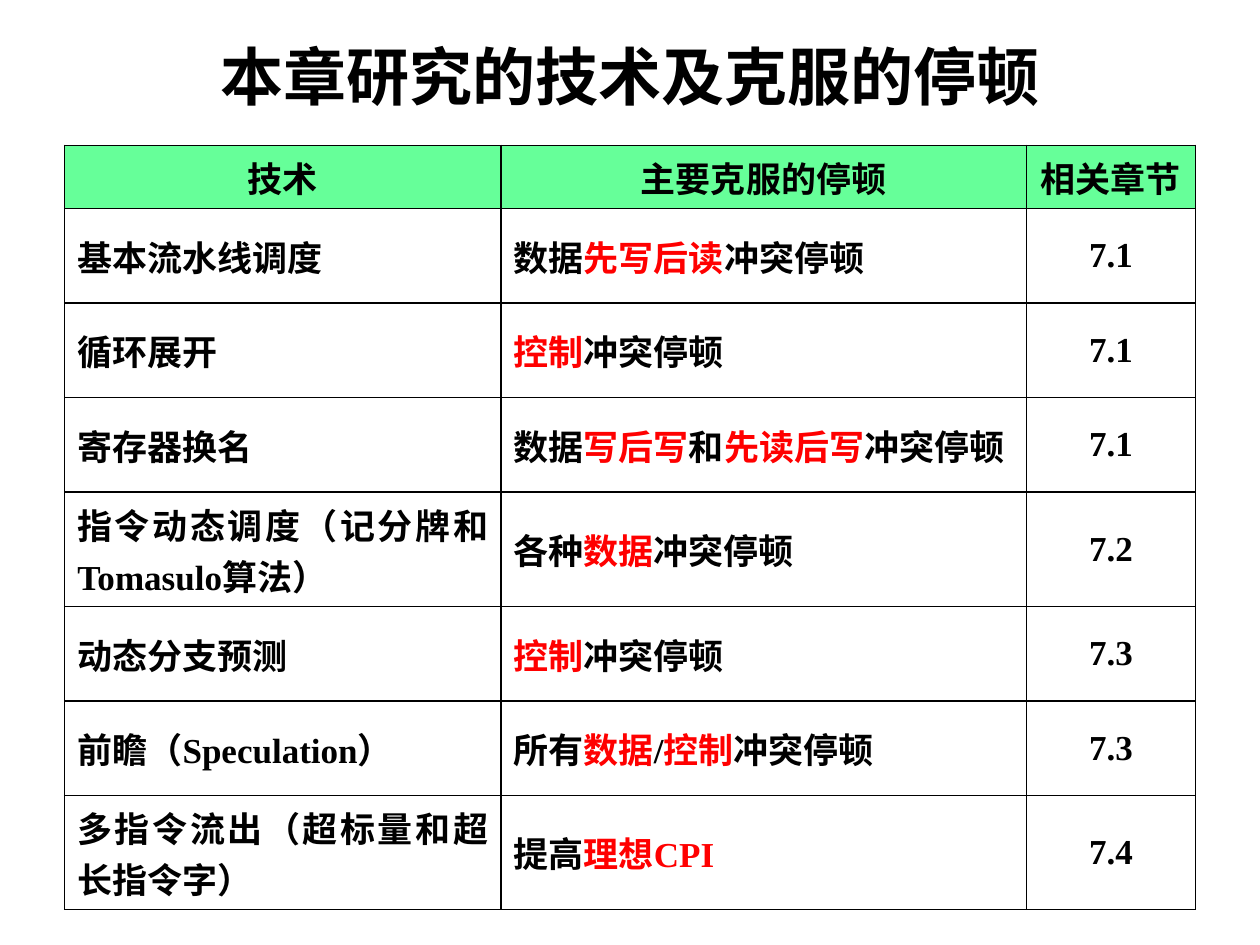
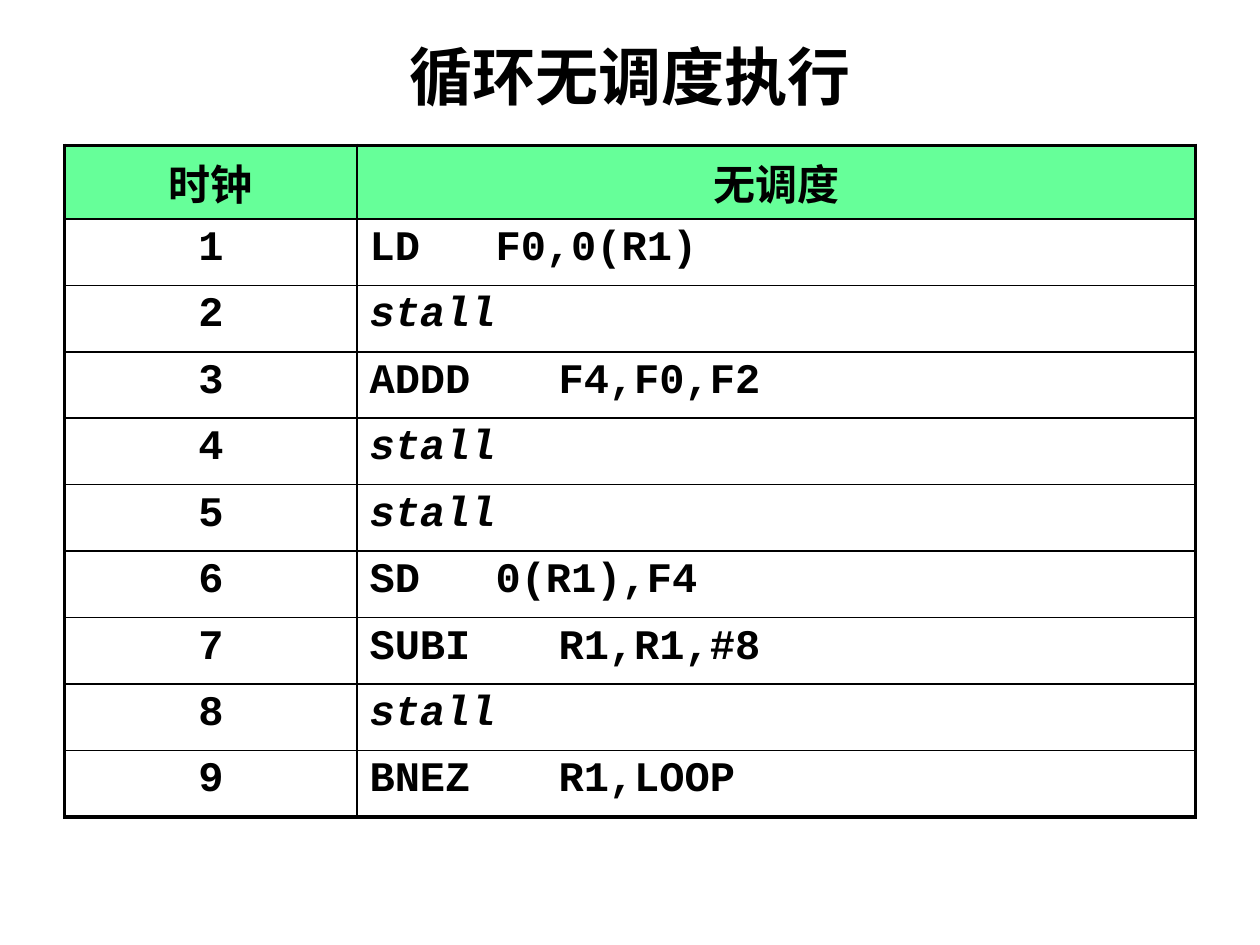
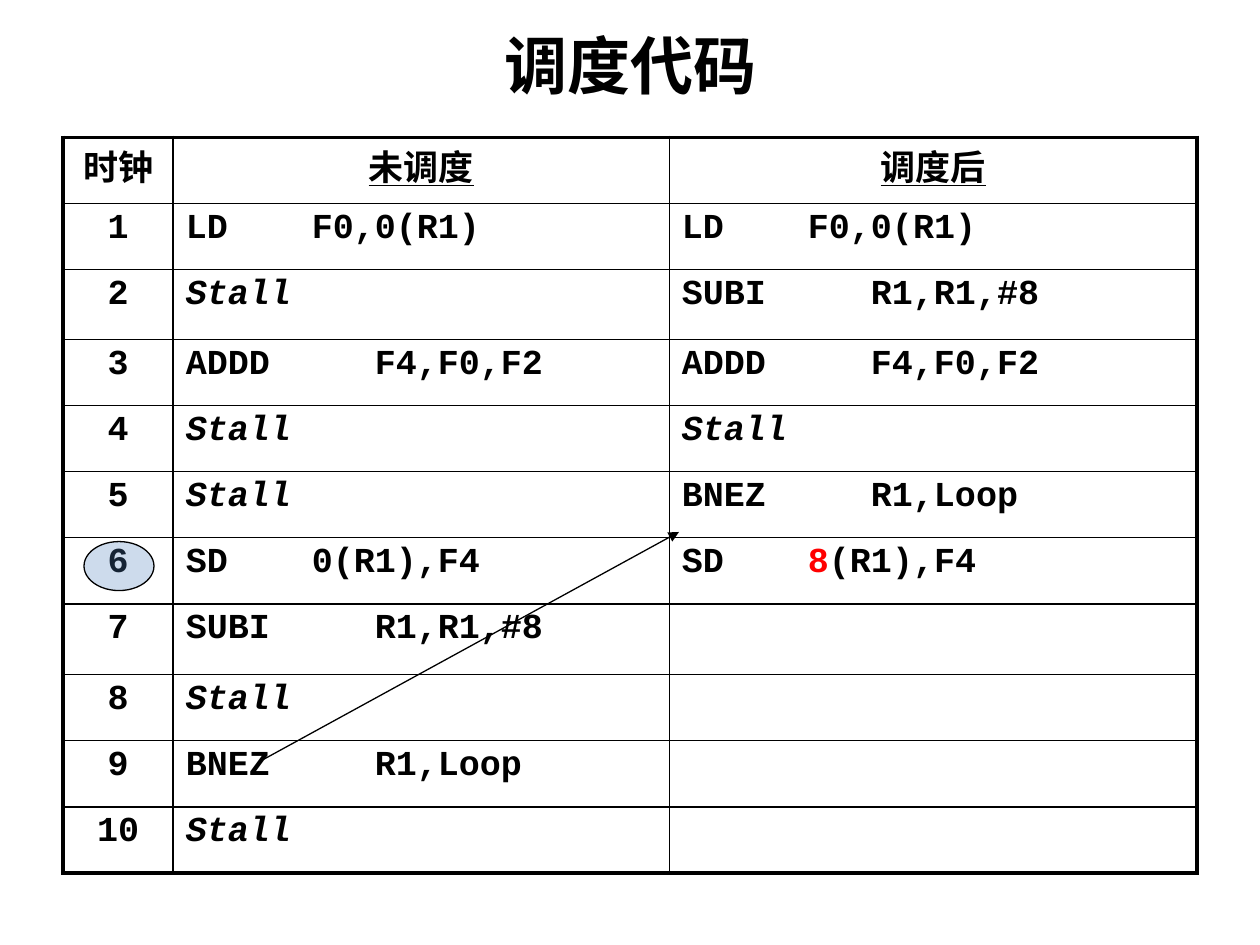
from itertools import groupby

from pptx import Presentation
from pptx.dml.color import RGBColor
from pptx.enum.shapes import MSO_CONNECTOR as Connector, MSO_SHAPE as Preset
from pptx.enum.text import MSO_ANCHOR as Anchor, PP_ALIGN as Align
from pptx.oxml.ns import qn
from pptx.util import Pt
from lxml.etree import SubElement

COLOURS = {"ink": "000000", "paper": "FFFFFF", "accent": "FF0000",
           "header": "66FF99", "marker": "4F81BD"}
HAN = "Noto Sans CJK SC"
SERIF = "Times New Roman"
MONO = "Courier New"
TITLE_BOX = (36, -2, 648, 90)

TECHNIQUES = [
    ("技术", "主要克服的停顿", "相关章节"),
    ("基本流水线调度", "数据*先写后读*冲突停顿", "7.1"),
    ("循环展开", "*控制*冲突停顿", "7.1"),
    ("寄存器换名", "数据*写后写*和*先读后写*冲突停顿", "7.1"),
    ("指令动态调度（记分牌和Tomasulo算法）", "各种*数据*冲突停顿", "7.2"),
    ("动态分支预测", "*控制*冲突停顿", "7.3"),
    ("前瞻（Speculation）", "所有*数据*/*控制*冲突停顿", "7.3"),
    ("多指令流出（超标量和超长指令字）", "提高*理想CPI*", "7.4"),
]
UNSCHEDULED = ["LD\t\tF0,0(R1)", "stall", "ADDD\t\tF4,F0,F2", "stall", "stall",
               "SD\t\t0(R1),F4", "SUBI\t\tR1,R1,#8", "stall", "BNEZ\t\tR1,LOOP"]
BEFORE = ["LD\t\tF0,0(R1)", "Stall", "ADDD\t\tF4,F0,F2", "Stall", "Stall",
          "SD\t\t0(R1),F4", "SUBI\t\tR1,R1,#8", "Stall", "BNEZ\t\tR1,Loop", "Stall"]
AFTER = ["LD\t\tF0,0(R1)", "SUBI\t\tR1,R1,#8", "ADDD\t\tF4,F0,F2", "Stall",
         "BNEZ\t\tR1,Loop", "SD\t\t*8*(R1),F4", "", "", "", ""]


def colour(name):
    """Return the named colour."""
    return RGBColor.from_string(COLOURS[name])


def write(para, text, size=20, latin=MONO, han=None, align=Align.LEFT,
          spacing=None, italic=False, underline=False):
    """Write bold text, with the parts between asterisks in the accent colour."""
    para.alignment = align
    para.line_spacing = spacing
    for number, piece in enumerate(text.split("*")):
        for ascii_only, letters in groupby(piece, str.isascii):
            span = para.add_run()
            span.text = "".join(letters)
            font = span.font
            font.size, font.bold = Pt(size), True
            font.italic, font.underline = italic, underline
            font.color.rgb = colour("accent" if number % 2 else "ink")
            font.name = latin if ascii_only else han or latin
            SubElement(font._element, qn("a:ea"), typeface=HAN)


def add_page(deck, title, latin="Arial", shift=0):
    """Add a page with its title."""
    page = deck.slides.add_slide(deck.slide_layouts[5])
    page.background.fill.solid()
    page.background.fill.fore_color.rgb = colour("paper")
    box = page.shapes.title
    left, top, width, height = TITLE_BOX
    box.left, box.top, box.width, box.height = map(Pt, (left, top + shift, width, height))
    box.text_frame.vertical_anchor = Anchor.MIDDLE
    write(box.text_frame.paragraphs[0], title, size=36, latin=latin, align=Align.CENTER)
    return page


def set_borders(cell, widths):
    """Draw the left, right, top and bottom borders of a cell."""
    properties = cell._tc.get_or_add_tcPr()
    for index, (side, width) in enumerate(zip("LRTB", widths)):
        line = properties.makeelement(qn(f"a:ln{side}"), {"w": str(Pt(width))})
        fill = SubElement(line, qn("a:solidFill"))
        SubElement(fill, qn("a:srgbClr"), val=COLOURS["ink"])
        properties.insert(index, line)


def add_grid(page, origin, rows, widths, heights, aligns, outer=2.25,
             header=None, anchor=Anchor.TOP, underlined=False, **style):
    """Add a bordered table whose first row is centred."""
    left, top = origin
    table = page.shapes.add_table(len(rows), len(widths), Pt(left), Pt(top),
                                  Pt(sum(widths)), Pt(sum(heights))).table
    table.first_row = table.horz_banding = False
    for column, width in zip(table.columns, widths):
        column.width = Pt(width)
    last_row, last_column = len(rows) - 1, len(widths) - 1
    for r, (texts, height) in enumerate(zip(rows, heights)):
        table.rows[r].height = Pt(height)
        for c, text in enumerate(texts):
            cell = table.cell(r, c)
            cell.vertical_anchor = anchor
            if header and r == 0:
                cell.fill.solid()
                cell.fill.fore_color.rgb = colour(header)
            else:
                cell.fill.background()
            edges = (c == 0, c == last_column, r == 0, r == last_row)
            set_borders(cell, [outer if edge else 1 for edge in edges])
            write(cell.text_frame.paragraphs[0], text,
                  align=Align.CENTER if r == 0 else aligns[c],
                  italic=text.lower() == "stall",
                  underline=underlined and r == 0 and c > 0, **style)


def add_arrow(page, start, end):
    """Add a thin arrow from start to end."""
    arrow = page.shapes.add_connector(Connector.STRAIGHT, *map(Pt, start + end))
    arrow.line.color.rgb = colour("ink")
    arrow.line.width = Pt(0.75)
    SubElement(arrow.line._get_or_add_ln(), qn("a:tailEnd"), type="triangle")
    SubElement(arrow._element.spPr, qn("a:effectLst"))


def add_marker(page, box):
    """Add a translucent ellipse over a clock number."""
    marker = page.shapes.add_shape(Preset.OVAL, *map(Pt, box))
    marker.shadow.inherit = False
    marker.fill.solid()
    marker.fill.fore_color.rgb = colour("marker")
    tint = marker._element.spPr.find(".//" + qn("a:srgbClr"))
    SubElement(tint, qn("a:alpha"), val="28000")
    marker.line.color.rgb = colour("ink")
    marker.line.width = Pt(0.75)


def add_techniques(deck):
    """Add the page that lists techniques and the stalls they remove."""
    page = add_page(deck, "本章研究的技术及克服的停顿")
    add_grid(page, (37, 83), TECHNIQUES, (249.3, 300.2, 96.7),
             [36] + [54] * 3 + [57] + [54] * 2 + [57],
             (Align.JUSTIFY, Align.JUSTIFY, Align.CENTER), outer=1,
             header="header", anchor=Anchor.MIDDLE, latin=SERIF, han=HAN)


def add_unscheduled(deck):
    """Add the page with the loop run without scheduling."""
    page = add_page(deck, "循环无调度执行", latin="Calibri")
    rows = [("时钟", "无调度")]
    rows += [(str(clock), code) for clock, code in enumerate(UNSCHEDULED, 1)]
    add_grid(page, (37, 83), rows, (167, 479), [42] + [38] * len(UNSCHEDULED),
             (Align.CENTER, Align.LEFT), header="header", size=24)


def add_comparison(deck):
    """Add the page that compares the code before and after scheduling."""
    page = add_page(deck, "调度代码", shift=-6)
    rows = [("时钟", "未调度", "调度后")]
    rows += [(str(clock), *codes) for clock, codes in enumerate(zip(BEFORE, AFTER), 1)]
    heights = [37.8] * len(rows)
    heights[2], heights[7] = 39.8, 40.5
    add_grid(page, (36, 78.5), rows, (63, 283.5, 301.5), heights,
             (Align.CENTER, Align.LEFT, Align.LEFT), underlined=True, spacing=0.9)
    add_arrow(page, (150.5, 434), (388, 304))
    add_marker(page, (48, 309.5, 40, 28))


def main():
    """Build and save the deck."""
    deck = Presentation()
    deck.slide_width, deck.slide_height = Pt(720), Pt(540)
    add_techniques(deck)
    add_unscheduled(deck)
    add_comparison(deck)
    deck.save("out.pptx")


if __name__ == "__main__":
    main()
